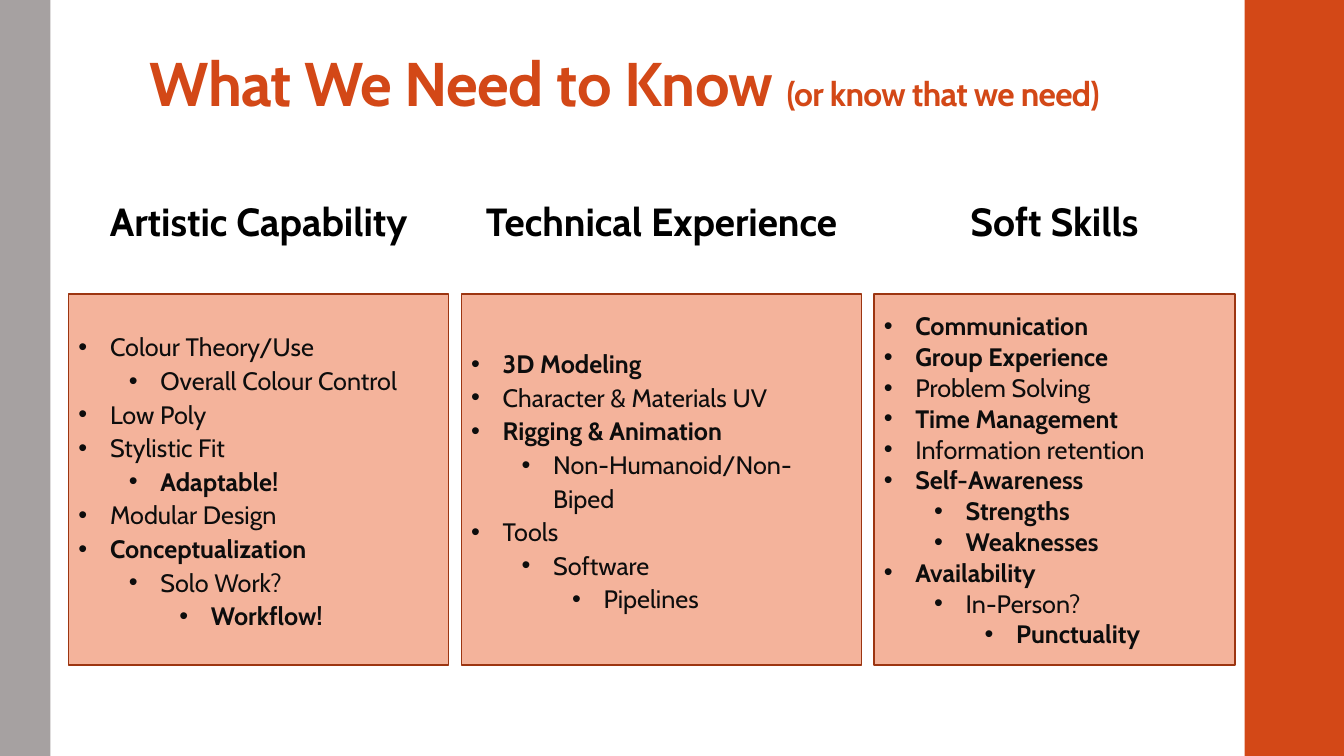
"""Build the slide on the three skill areas a team needs to know."""
from lxml import etree
from pptx import Presentation
from pptx.dml.color import RGBColor
from pptx.enum.shapes import MSO_SHAPE
from pptx.enum.text import MSO_ANCHOR, MSO_AUTO_SIZE, PP_ALIGN
from pptx.oxml.ns import qn
from pptx.util import Pt

ORANGE = RGBColor(0xD3, 0x48, 0x17)
GREY = RGBColor(0xA6, 0xA1, 0xA1)
PEACH = RGBColor(0xF4, 0xB3, 0x9B)
RUST = RGBColor(0x9C, 0x35, 0x11)
INK = RGBColor(0x0D, 0x0D, 0x0D)
BLACK = RGBColor(0, 0, 0)

AREAS = [
    ("Artistic Capability", 49, 271.5, 24, [
        (0, False, "Colour Theory/Use"),
        (1, False, "Overall Colour Control"),
        (0, False, "Low Poly"),
        (0, False, "Stylistic Fit"),
        (1, True, "Adaptable!"),
        (0, False, "Modular Design"),
        (0, True, "Conceptualization"),
        (1, False, "Solo Work?"),
        (2, True, "Workflow!")]),
    ("Technical Experience", 329.5, 286, 24, [
        (0, True, "3D Modeling"),
        (0, False, "Character & Materials UV"),
        (0, True, "Rigging & Animation"),
        (1, False, "Non-Humanoid/Non-Biped"),
        (0, False, "Tools"),
        (1, False, "Software"),
        (2, False, "Pipelines")]),
    ("Soft Skills", 624.25, 258, 22, [
        (0, True, "Communication"),
        (0, True, "Group Experience"),
        (0, False, "Problem Solving"),
        (0, True, "Time Management"),
        (0, False, "Information retention"),
        (0, True, "Self-Awareness"),
        (1, True, "Strengths"),
        (1, True, "Weaknesses"),
        (0, True, "Availability"),
        (1, False, "In-Person?"),
        (2, True, "Punctuality")]),
]


def add_rect(left, top, width, height, fill):
    rect = slide.shapes.add_shape(
        MSO_SHAPE.RECTANGLE, Pt(left), Pt(top), Pt(width), Pt(height))
    rect.shadow.inherit = False
    rect.fill.solid()
    rect.fill.fore_color.rgb = fill
    rect.line.fill.background()
    return rect


def set_font(font, color, bold):
    font.name = "Cabin"
    font.bold = bold
    font.color.rgb = color


deck = Presentation()
deck.slide_width, deck.slide_height = Pt(960), Pt(540)
slide = deck.slides.add_slide(deck.slide_layouts[5])

add_rect(889, 0, 71, 540, ORANGE)
add_rect(0, 0, 36, 540, GREY)

title = slide.shapes.title
title.left, title.top = Pt(99.5), Pt(-21)
title.width, title.height = Pt(763), Pt(110)
frame = title.text_frame
frame.auto_size = MSO_AUTO_SIZE.NONE
frame.vertical_anchor = MSO_ANCHOR.BOTTOM
frame.margin_top, frame.margin_bottom = Pt(2), Pt(3.6)
para = frame.paragraphs[0]
para.alignment = PP_ALIGN.LEFT
para.line_spacing = 0.9
set_font(para.font, ORANGE, True)
for text, size in [("What We Need to Know ", 44), ("(or know that we need)", 24)]:
    run = para.add_run()
    run.text = text
    run.font.size = Pt(size)
    run.font._element.set("spc", "-50")

for name, left, width, pitch, items in AREAS:
    head = slide.shapes.add_textbox(Pt(left), Pt(137.5), Pt(width), Pt(41))
    para = head.text_frame.paragraphs[0]
    para.text = name
    para.alignment = PP_ALIGN.CENTER
    para.font.size = Pt(28)
    set_font(para.font, BLACK, True)

    panel = add_rect(left, 210, width, 265, PEACH)
    panel.line.color.rgb = RUST
    panel.line.width = Pt(1.1)
    frame = panel.text_frame
    frame.word_wrap = True
    frame.vertical_anchor = MSO_ANCHOR.MIDDLE
    for index, (level, bold, text) in enumerate(items):
        para = frame.add_paragraph() if index else frame.paragraphs[0]
        para.text = text
        para.level = level
        para.alignment = PP_ALIGN.LEFT
        para.line_spacing = Pt(pitch)
        props = para._p.get_or_add_pPr()
        props.set("marL", str(Pt(22.5 + 36 * level)))
        props.set("indent", str(Pt(-22.5)))
        etree.SubElement(props, qn("a:buFont")).set("typeface", "Arial")
        etree.SubElement(props, qn("a:buChar")).set("char", "•")
        para.font.size = Pt(18)
        set_font(para.font, INK, bold)

deck.save("out.pptx")
